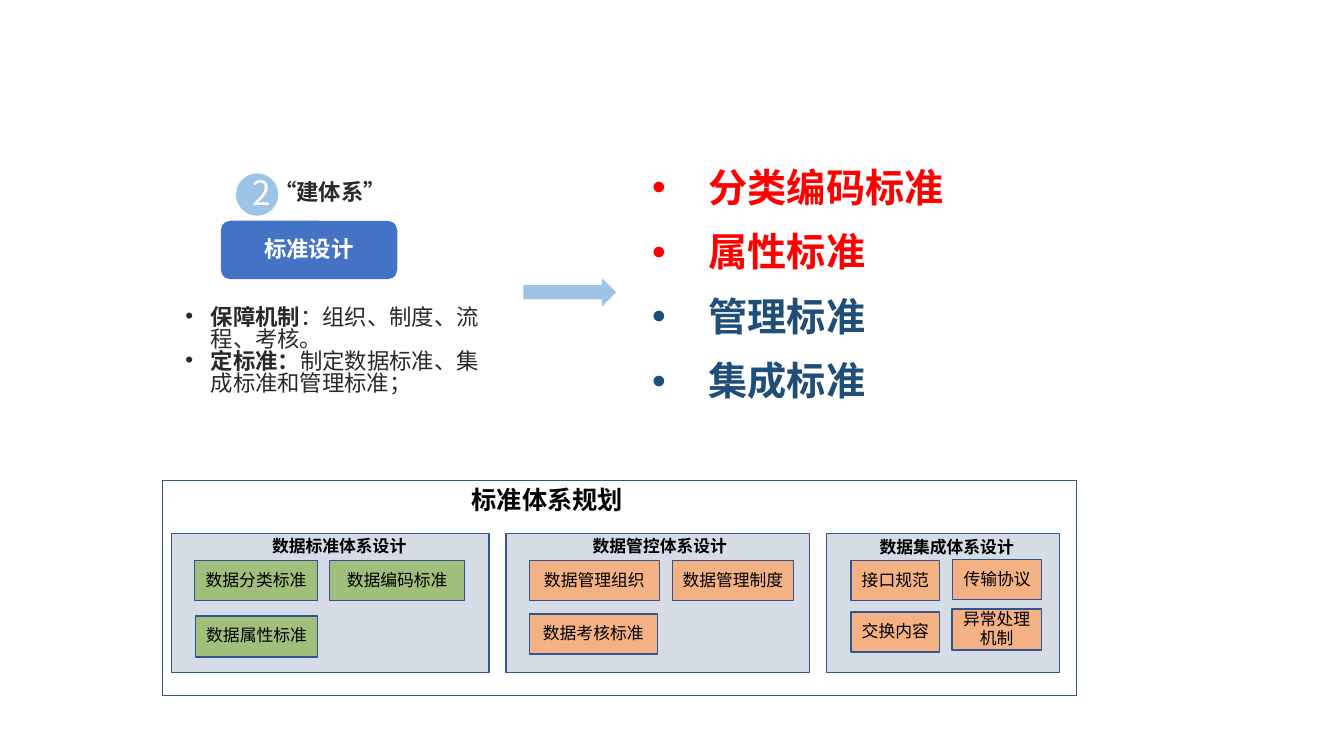
"""Build a slide on designing a data standards system."""
from dataclasses import dataclass

from lxml import etree
from pptx import Presentation
from pptx import util as u
from pptx.dml.color import RGBColor
from pptx.enum import shapes, text
from pptx.oxml import ns

PX = 9144
CJK = "Noto Sans CJK SC"
COLORS = {
    "panel": "D6DCE5", "border": "325491", "green": "A0BF7C", "orange": "F4B183",
    "black": "000000", "white": "FFFFFF", "red": "FF0000", "navy": "1F4E78",
    "blue": "4472C4", "sky": "9DC3E6", "dark": "292929",
}
KIND = shapes.MSO_SHAPE
CENTER = text.PP_ALIGN.CENTER
LEFT = text.PP_ALIGN.LEFT
Box = tuple[int, int, int, int]
Runs = list[tuple[str, bool]]


@dataclass
class Style:
    size: int
    color: str = "black"
    align: text.PP_ALIGN = LEFT
    font: str = CJK
    indent: int = 0
    spacing: float = 0.9


@dataclass
class Block:
    box: Box
    fill: str | None = None
    border: str | None = None
    kind: KIND = KIND.RECTANGLE
    label: str = ""
    style: Style | None = None
    bold: bool = False


@dataclass
class Label:
    box: Box
    paragraphs: list[Runs]
    style: Style
    wrap: bool = True
    margins: tuple[int, int] = (10, 5)


@dataclass
class Panel:
    box: Box
    title: str
    title_box: Box
    title_align: text.PP_ALIGN
    fill: str
    items: dict[str, Box]


def rgb(name: str) -> RGBColor:
    return RGBColor.from_string(COLORS[name])


def emu(box: Box) -> list[int]:
    return [side * PX for side in box]


def write(frame, paragraphs: list[Runs], style: Style) -> None:
    for index, runs in enumerate(paragraphs):
        line = frame.add_paragraph() if index else frame.paragraphs[0]
        line.alignment = style.align
        line.line_spacing = style.spacing
        if style.indent:
            props = line._p.get_or_add_pPr()
            props.set("marL", str(style.indent * PX))
            props.set("indent", str(-style.indent * PX))
            etree.SubElement(props, ns.qn("a:buFont")).set("typeface", "Arial")
            etree.SubElement(props, ns.qn("a:buChar")).set("char", "•")
        for words, bold in runs:
            run = line.add_run()
            run.text = words
            formats = {"size": u.Pt(style.size), "bold": bold, "name": style.font}
            for attribute, value in formats.items():
                setattr(run.font, attribute, value)
            run.font.color.rgb = rgb(style.color)
            east_asian = etree.SubElement(run._r.get_or_add_rPr(), ns.qn("a:ea"))
            east_asian.set("typeface", CJK)


def draw_block(slide, block: Block) -> None:
    shape = slide.shapes.add_shape(block.kind, *emu(block.box))
    shape.shadow.inherit = False
    if block.fill:
        shape.fill.solid()
        shape.fill.fore_color.rgb = rgb(block.fill)
    else:
        shape.fill.background()
    if block.border:
        shape.line.color.rgb = rgb(block.border)
        shape.line.width = u.Pt(1)
    else:
        shape.line.fill.background()
    if block.style:
        shape.text_frame.vertical_anchor = text.MSO_ANCHOR.MIDDLE
        write(shape.text_frame, [[(block.label, block.bold)]], block.style)


def draw_label(slide, label: Label) -> None:
    frame = slide.shapes.add_textbox(*emu(label.box)).text_frame
    side, top = (margin * PX for margin in label.margins)
    formats = {
        "word_wrap": label.wrap, "auto_size": text.MSO_AUTO_SIZE.SHAPE_TO_FIT_TEXT,
        "margin_left": side, "margin_right": side, "margin_top": top, "margin_bottom": top,
    }
    for attribute, value in formats.items():
        setattr(frame, attribute, value)
    write(frame, label.paragraphs, label.style)


def draw_panel(slide, panel: Panel) -> None:
    draw_block(slide, Block(panel.box, "panel", "border"))
    title_style = Style(12, align=panel.title_align)
    draw_label(slide, Label(panel.title_box, [[(panel.title, True)]], title_style))
    item_style = Style(12, align=CENTER)
    for name, box in panel.items.items():
        draw_block(slide, Block(box, panel.fill, "border", label=name, style=item_style))


PANELS = [
    Panel((170, 529, 315, 138), "数据标准体系设计", (260, 529, 214, 18), LEFT, "green", {
        "数据分类标准": (193, 556, 122, 40),
        "数据编码标准": (327, 556, 134, 40),
        "数据属性标准": (194, 611, 121, 41),
    }),
    Panel((502, 529, 301, 138), "数据管控体系设计", (578, 529, 214, 28), LEFT, "orange", {
        "数据管理组织": (525, 556, 129, 40),
        "数据考核标准": (525, 609, 127, 40),
        "数据管理制度": (667, 556, 120, 40),
    }),
    Panel((820, 529, 231, 138), "数据集成体系设计", (832, 530, 214, 28), CENTER, "orange", {
        "接口规范": (844, 556, 88, 40),
        "交换内容": (844, 607, 88, 40),
        "异常处理机制": (944, 604, 89, 41),
        "传输协议": (945, 555, 88, 40),
    }),
]
STANDARDS = {"分类编码标准": "red", "属性标准": "red", "管理标准": "navy", "集成标准": "navy"}
MEASURES = [
    [("保障机制", True), ("：组织、制度、流程、考核。", False)],
    [("定标准：", True), ("制定数据标准、集成标准和管理标准；", False)],
]


def main() -> None:
    deck = Presentation()
    deck.slide_width, deck.slide_height = 1333 * PX, 750 * PX
    slide = deck.slides.add_slide(deck.slide_layouts[6])

    for panel in PANELS:
        draw_panel(slide, panel)
    draw_block(slide, Block((161, 477, 907, 213), border="border"))
    draw_label(slide, Label((458, 479, 188, 37), [[("标准体系规划", True)]], Style(18)))

    for row, (standard, color) in enumerate(STANDARDS.items()):
        box = (637, 162 + 64 * row, 388, 57)
        draw_label(slide, Label(box, [[(standard, True)]], Style(28, color, indent=56)))

    draw_block(slide, Block((219, 219, 175, 58), "blue", kind=KIND.ROUNDED_RECTANGLE,
                            label="标准设计", style=Style(16, "white", CENTER), bold=True))
    draw_block(slide, Block((234, 172, 42, 42), "sky", kind=KIND.OVAL,
                            label="2", style=Style(24, "white", CENTER)))
    draw_label(slide, Label((170, 297, 327, 149), MEASURES,
                            Style(16, "dark", indent=25, spacing=0.82), margins=(14, 8)))
    draw_label(slide, Label((262, 175, 132, 37), [[("“建体系”", True)]],
                            Style(16, "dark", font="Arial"), wrap=False))
    draw_block(slide, Block((519, 276, 92, 28), "sky", kind=KIND.RIGHT_ARROW))
    deck.save("out.pptx")


if __name__ == "__main__":
    main()
